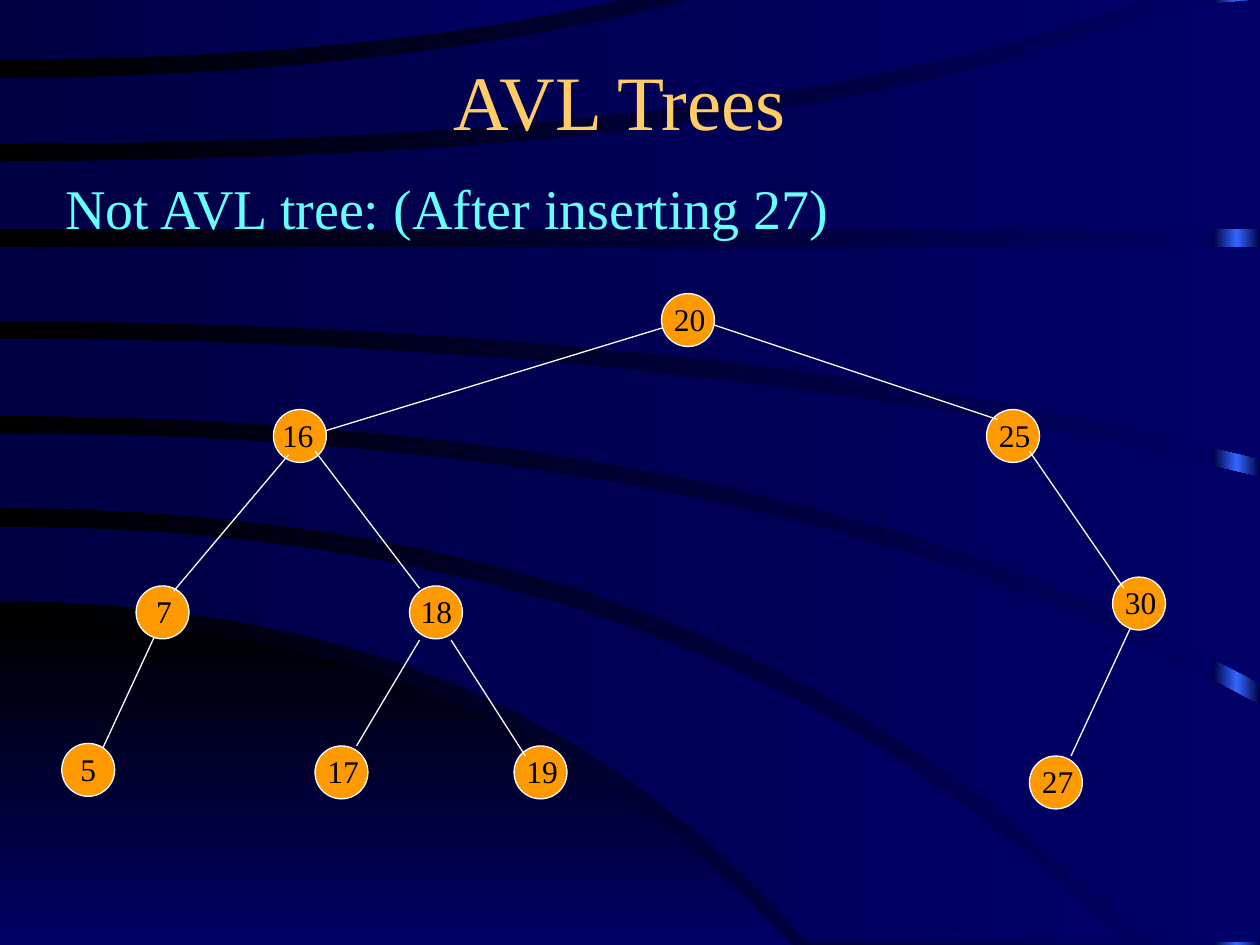
"""Build the AVL tree slide."""
import copy

import pptx
import pptx.dml.color
import pptx.enum.shapes
import pptx.enum.text
import pptx.oxml
import pptx.util
from pptx.util import Inches

NAVY = ["000044", "000066"]
BLACK = ["000000", "000066"]
EDGES = [
    (9.08, 4.75, 8.5, 6), (1.25, 5, 0.75, 6.08), (2.58, 3.42, 5.33, 2.58),
    (5.67, 2.58, 7.92, 3.33), (2.5, 3.58, 3.33, 4.67), (2.29, 3.61, 1.38, 4.69),
    (3.33, 5.08, 2.83, 5.92), (8.17, 3.58, 8.92, 4.67), (3.58, 5.08, 4.17, 6),
]
UNDER_NODES = 3
NODES = [
    ("20", 5.25, 2.33, 0), ("16", 2.17, 3.25, -0.03), ("25", 7.83, 3.25, 0),
    ("7", 1.08, 4.65, 0.06), ("18", 3.25, 4.65, -0.01), ("30", 8.83, 4.58, 0),
    ("5", 0.49, 5.9, 0.05), ("17", 2.5, 5.92, 0), ("19", 4.08, 5.92, 0),
    ("27", 8.17, 6, 0),
]


def rgb(value):
    return pptx.dml.color.RGBColor.from_string(value)


def curve(y0, xm, ym, xe, ye, steps=14):
    mid, end = (ym - y0) / xm ** 2, (ye - y0) / xe ** 2
    b = (end - mid) / (xe ** 2 - xm ** 2)
    a = mid - b * xm ** 2
    xs = [xe * i / steps for i in range(steps + 1)]
    return [(x, max(0, y0 + a * x ** 2 + b * x ** 4)) for x in xs]


def flat(y, xe=10):
    return [(0, y), (xe, y)]


ARCS = [
    (curve(4.18, 4.72, 4.88, 8.93, 7.48), curve(4.77, 3.42, 5.35, 6.42, 7.48)),
    (curve(3.44, 5.21, 3.89, 10, 5.6), curve(4.03, 5.21, 4.89, 9.09, 7.48) + [(10, 7.48)]),
    (curve(2.69, 5.23, 2.96, 10, 3.79), curve(3.3, 5.12, 3.73, 10, 5.42)),
    (flat(1.96), curve(2.55, 5.02, 2.79, 10, 3.64)),
    (curve(1.28, 5.08, 1.03, 10, -0.24), flat(1.82)),
    (curve(0.62, 2.67, 0.49, 5.48, 0), curve(1.14, 5.04, 0.89, 9.12, 0)),
    (flat(0, 4.91), curve(0.47, 2.89, 0.33, 4.91, 0)),
]


def write(tf, text, size=18, color="000000", font="Times New Roman", align="LEFT", anchor="TOP"):
    tf.word_wrap = True
    tf.vertical_anchor = pptx.enum.text.MSO_ANCHOR[anchor]
    p = tf.paragraphs[0]
    p.alignment = pptx.enum.text.PP_ALIGN[align]
    r = p.add_run()
    r.text = text
    r.font.size, r.font.name = pptx.util.Pt(size), font
    r.font.color.rgb = rgb(color)


def gradient(fill, colors, angle=0):
    fill.gradient()
    fill.gradient_angle = angle
    gs_list = fill.gradient_stops[0]._gs.getparent()
    for _ in colors[2:]:
        gs_list.append(copy.deepcopy(gs_list[-1]))
    for i, (stop, color) in enumerate(zip(fill.gradient_stops, colors)):
        stop.color.rgb = rgb(color)
        stop.position = i / (len(colors) - 1)


class Deck:
    line = "FFFFFF"
    node_fill = "FF9900"
    diameter = 0.42

    def __init__(self, prs):
        self.s = prs.slides.add_slide(prs.slide_layouts[5])

    def strip(self, x, y, w, h, colors):
        sp = self.s.shapes.add_shape(
            pptx.enum.shapes.MSO_SHAPE.RECTANGLE, Inches(x), Inches(y), Inches(w), Inches(h))
        sp.shadow.inherit = False
        sp.line.fill.background()
        gradient(sp.fill, colors)

    def arc(self, upper, lower, colors, angle=0):
        start, *rest = [(Inches(x), Inches(y)) for x, y in upper + lower[::-1]]
        builder = self.s.shapes.build_freeform(*start)
        builder.add_line_segments(rest)
        sp = builder.convert_to_shape()
        sp.shadow.inherit = False
        sp.line.fill.background()
        gradient(sp.fill, colors, angle)

    def title(self, text, x, y, w, h):
        sp = self.s.shapes.title
        sp._element.getparent().append(sp._element)
        sp.left, sp.top, sp.width, sp.height = map(Inches, (x, y, w, h))
        write(sp.text_frame, text, size=44, color="FFCC66", align="CENTER", anchor="MIDDLE")

    def text(self, text, x, y, w, h, **fmt):
        sp = self.s.shapes.add_textbox(Inches(x), Inches(y), Inches(w), Inches(h))
        write(sp.text_frame, text, **fmt)

    def edge(self, x1, y1, x2, y2):
        sp = self.s.shapes.add_connector(
            pptx.enum.shapes.MSO_CONNECTOR.STRAIGHT, *map(Inches, (x1, y1, x2, y2)))
        sp.line.color.rgb = rgb(self.line)
        sp.line.width = pptx.util.Pt(0.75)
        sp._element.spPr.append(pptx.oxml.xmlchemy.OxmlElement("a:effectLst"))

    def node(self, label, x, y, shift):
        d = Inches(self.diameter)
        sp = self.s.shapes.add_shape(
            pptx.enum.shapes.MSO_SHAPE.OVAL, Inches(x), Inches(y), d, d)
        sp.shadow.inherit = False
        sp.fill.solid()
        sp.fill.fore_color.rgb = rgb(self.node_fill)
        sp.line.color.rgb = rgb(self.line)
        sp.line.width = pptx.util.Pt(0.75)
        self.text(label, x + shift, y, 0.5, 0.4)


def main():
    prs = pptx.Presentation()
    prs.slide_width, prs.slide_height = Inches(10), Inches(7.5)
    deck = Deck(prs)
    gradient(deck.s.background.fill, BLACK)
    deck.strip(9.63, 0, 0.37, 7.5, ["000044", "3366FF", "000044"])
    deck.arc(curve(4.91, 3.27, 5.44, 6.28, 7.5), flat(7.5, 6.28), BLACK, angle=270)
    for upper, lower in ARCS:
        deck.arc(upper, lower, NAVY)
    deck.title("AVL Trees", 0.67, 0.17, 8.5, 1.25)
    deck.text("Not AVL tree: (After inserting 27)", 0.42, 1.33, 7, 0.67, size=32, color="66FFFF")
    for edge in EDGES[:UNDER_NODES]:
        deck.edge(*edge)
    for node in NODES:
        deck.node(*node)
    for edge in EDGES[UNDER_NODES:]:
        deck.edge(*edge)
    prs.save("out.pptx")


if __name__ == "__main__":
    main()
